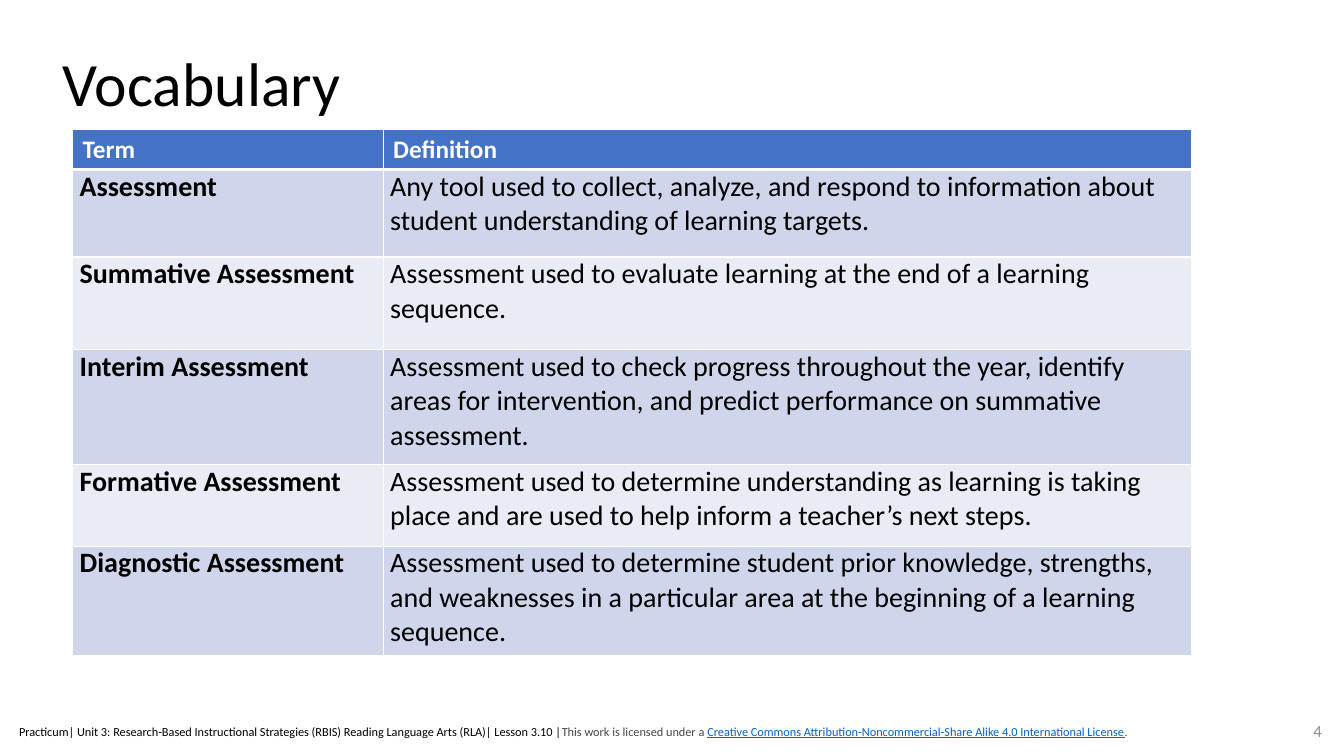
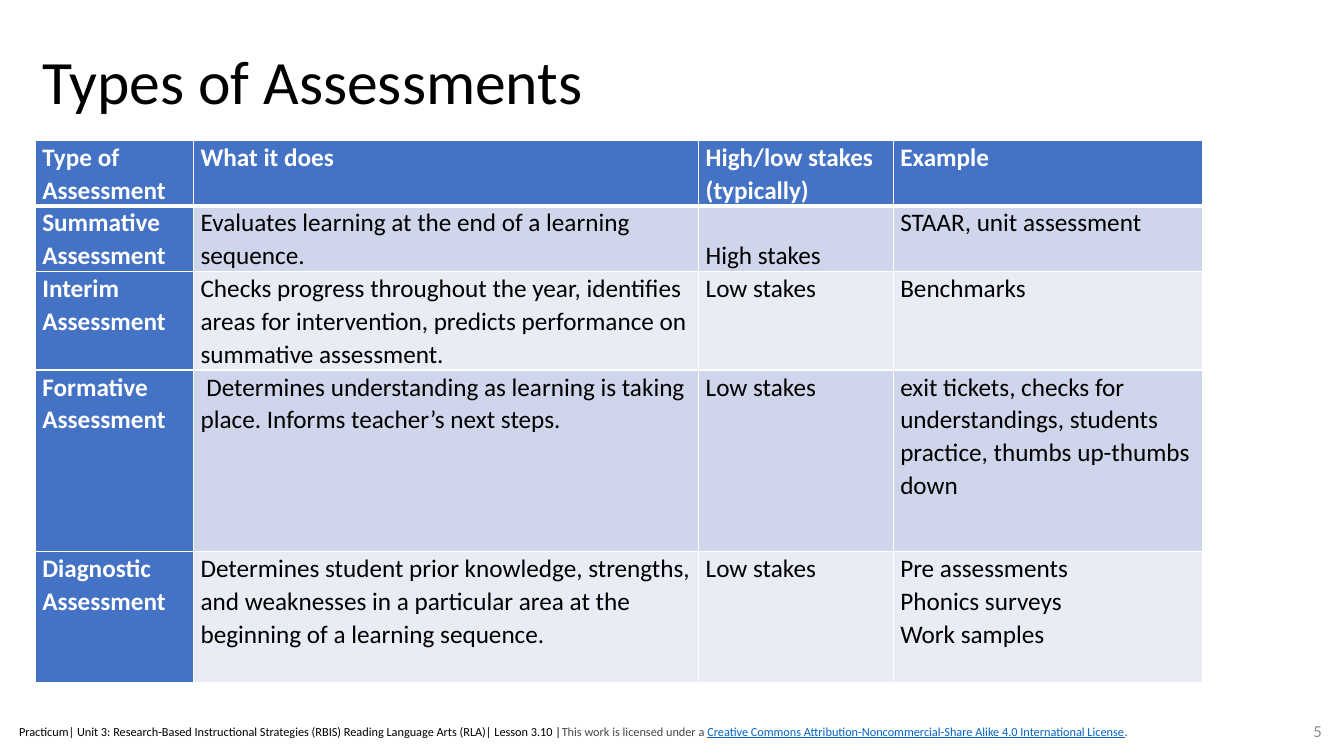
"""Builds two lesson slides on kinds of assessment, each a title above a table."""
import dataclasses

import lxml.etree
import pptx
import pptx.dml.color
import pptx.enum.text
import pptx.oxml.ns
import pptx.util

Inches = pptx.util.Inches
Pt = pptx.util.Pt
Anchor = pptx.enum.text.MSO_ANCHOR
Align = pptx.enum.text.PP_ALIGN
qn = pptx.oxml.ns.qn


@dataclasses.dataclass(frozen=True)
class Theme:
    font: str = "Calibri"
    text: str = "000000"
    white: str = "FFFFFF"
    accent: str = "4472C4"
    bands: tuple = ("CFD5EA", "E9EBF5")
    number: str = "8C8C8C"
    license: str = "464646"
    link: str = "0563C1"
    link_end: str = "0070C0"
    title_size: float = 44
    header_size: float = 18
    number_size: float = 12
    footer_size: float = 8.8
    rule: float = 1
    header_rule: float = 3


THEME = Theme()

FOOTER = (
    ("Practicum| Unit 3: Research-Based Instructional Strategies (RBIS) "
     "Reading Language Arts (RLA)| Lesson 3.10 |", THEME.text, False),
    ("This work is licensed under a ", THEME.license, False),
    ("Creative Commons Attribution-Noncommercial-Share Alike 4.0 "
     "International License", THEME.link, True),
    (".", THEME.link_end, False),
)

VOCABULARY = (
    ("Term", "Definition"),
    ("Assessment",
     "Any tool used to collect, analyze, and respond to information about "
     "student understanding of learning targets."),
    ("Summative Assessment",
     "Assessment used to evaluate learning at the end of a learning sequence."),
    ("Interim Assessment",
     "Assessment used to check progress throughout the year, identify areas "
     "for intervention, and predict performance on summative assessment."),
    ("Formative Assessment",
     "Assessment used to determine understanding as learning is taking place "
     "and are used to help inform a teacher’s next steps."),
    ("Diagnostic Assessment",
     "Assessment used to determine student prior knowledge, strengths, and "
     "weaknesses in a particular area at the beginning of a learning sequence."),
)

TYPES = (
    ("Type of Assessment", "What it does", "High/low stakes (typically)", "Example"),
    ("Summative Assessment",
     "Evaluates learning at the end of a learning sequence.",
     "High stakes", "STAAR, unit assessment"),
    ("Interim Assessment",
     "Checks progress throughout the year, identifies areas for intervention, "
     "predicts performance on summative assessment.",
     "Low stakes", "Benchmarks"),
    ("Formative Assessment",
     " Determines understanding as learning is taking place. "
     "Informs teacher’s next steps.",
     "Low stakes",
     "exit tickets, checks for understandings, students practice, "
     "thumbs up-thumbs down"),
    ("Diagnostic Assessment",
     "Determines student prior knowledge, strengths, and weaknesses in a "
     "particular area at the beginning of a learning sequence.",
     "Low stakes", "Pre assessments\nPhonics surveys\nWork samples"),
)


class LessonDeck:
    def __init__(self, theme):
        self.theme = theme
        self.deck = pptx.Presentation()
        self.deck.slide_width = Inches(13.33)
        self.deck.slide_height = Inches(7.5)
        self.page = None

    def add_page(self, title, place, number):
        self.page = self.deck.slides.add_slide(self.deck.slide_layouts[5])
        self.add_title(title, place)
        self.add_number(number)
        self.add_footer()

    def add_span(self, para, text, size, color, bold=False, underline=False):
        span = para.add_run()
        span.text = text
        span.font.name = self.theme.font
        span.font.size = Pt(size)
        span.font.bold = bold
        span.font.underline = underline
        span.font.color.rgb = pptx.dml.color.RGBColor.from_string(color)

    def add_title(self, text, place):
        box = self.page.shapes.title
        box.left, box.top, box.width, box.height = map(Inches, place)
        frame = box.text_frame
        frame.auto_size = pptx.enum.text.MSO_AUTO_SIZE.NONE
        frame.vertical_anchor = Anchor.MIDDLE
        para = frame.paragraphs[0]
        para.alignment = Align.LEFT
        para.line_spacing = 0.9
        self.add_span(para, text, self.theme.title_size, self.theme.text)

    def add_box(self, place, alignment):
        box = self.page.shapes.add_textbox(*map(Inches, place))
        box.text_frame.word_wrap = True
        box.text_frame.vertical_anchor = Anchor.MIDDLE
        para = box.text_frame.paragraphs[0]
        para.alignment = alignment
        return para

    def add_number(self, number):
        para = self.add_box((10.21, 7.05, 3, 0.4), Align.RIGHT)
        self.add_span(para, str(number), self.theme.number_size, self.theme.number)

    def add_footer(self):
        para = self.add_box((0.09, 7.09, 12.42, 0.33), Align.LEFT)
        for text, color, underline in FOOTER:
            self.add_span(para, text, self.theme.footer_size, color,
                          underline=underline)

    def add_table(self, content, corner, widths, heights, body_size,
                  line_spacing, header_insets, filled_first_column):
        frame = self.page.shapes.add_table(
            len(heights), len(widths), *map(Inches, corner),
            Inches(sum(widths)), Inches(sum(heights)))
        table = frame.table
        table.horz_banding = False
        for column, width in zip(table.columns, widths):
            column.width = Inches(width)
        for row, height in zip(table.rows, heights):
            row.height = Inches(height)
        for r, entries in enumerate(content):
            for c, text in enumerate(entries):
                cell = table.cell(r, c)
                header = r == 0
                accented = header or (filled_first_column and c == 0)
                self.set_borders(cell, r)
                fill = self.theme.accent if accented else self.theme.bands[(r - 1) % 2]
                cell.fill.solid()
                cell.fill.fore_color.rgb = pptx.dml.color.RGBColor.from_string(fill)
                side, edge = header_insets if header else (0.07, 0)
                cell.margin_left = cell.margin_right = Inches(side)
                cell.margin_top = cell.margin_bottom = Inches(edge)
                for index, line in enumerate(text.split("\n")):
                    paras = cell.text_frame
                    para = paras.add_paragraph() if index else paras.paragraphs[0]
                    para.line_spacing = line_spacing
                    self.add_span(
                        para, line,
                        self.theme.header_size if header else body_size,
                        self.theme.white if accented else self.theme.text,
                        bold=header or c == 0)
        return table

    def set_borders(self, cell, row):
        heavy, light = self.theme.header_rule, self.theme.rule
        widths = {"L": light, "R": light,
                  "T": heavy if row == 1 else light,
                  "B": heavy if row == 0 else light}
        properties = cell._tc.get_or_add_tcPr()
        for side, width in widths.items():
            line = lxml.etree.SubElement(properties, qn("a:ln" + side), w=str(Pt(width)))
            fill = lxml.etree.SubElement(line, qn("a:solidFill"))
            lxml.etree.SubElement(fill, qn("a:srgbClr"), val=self.theme.white)


def main():
    lesson = LessonDeck(THEME)

    lesson.add_page("Vocabulary", (0.52, 0.13, 11.5, 1.45), 4)
    lesson.add_table(
        VOCABULARY, (0.72, 1.28), (3.08, 8.02),
        (0.39, 0.87, 0.92, 1.14, 0.81, 1.08), body_size=20, line_spacing=1.0,
        header_insets=(0.1, 0.05), filled_first_column=False)

    lesson.add_page("Types of Assessments", (0.32, 0.26, 11.5, 1.15), 5)
    types = lesson.add_table(
        TYPES, (0.35, 1.39), (1.57, 5.01, 1.93, 3.07),
        (0.65, 0.65, 0.98, 1.8, 1.3), body_size=18, line_spacing=1.07,
        header_insets=(0.07, 0), filled_first_column=True)
    types.cell(1, 2).vertical_anchor = Anchor.BOTTOM

    lesson.deck.save("out.pptx")


if __name__ == "__main__":
    main()
